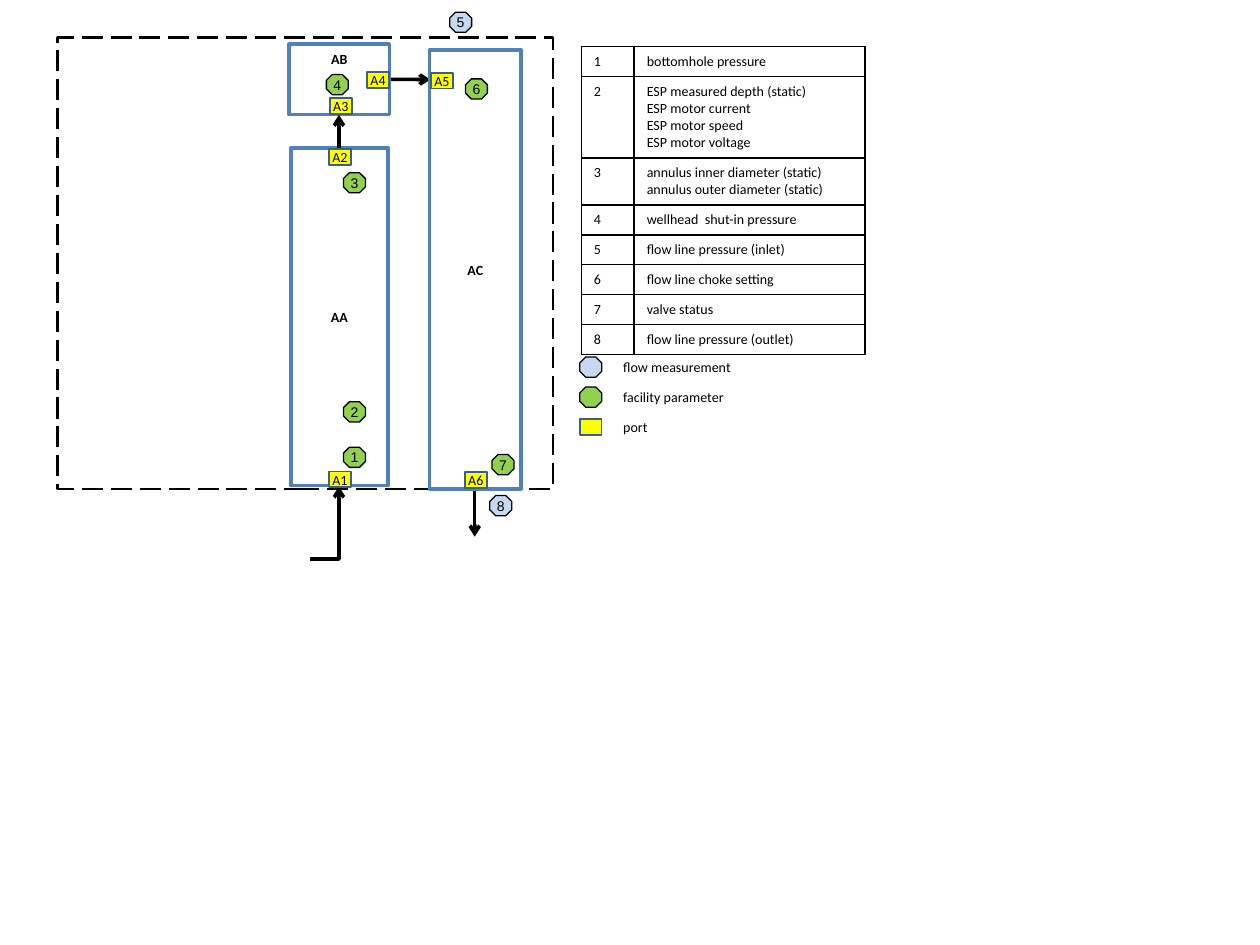
from lxml.etree import SubElement
from pptx import Presentation
from pptx.dml.color import RGBColor
from pptx.enum.dml import MSO_LINE
from pptx.enum.shapes import MSO_CONNECTOR, MSO_SHAPE
from pptx.enum.text import MSO_ANCHOR, MSO_AUTO_SIZE, PP_ALIGN
from pptx.oxml.ns import qn
from pptx.util import Pt

BLACK, BLUE, PORT_EDGE = "000000", "4F81BD", "3A5F8C"
FLOW, PARAMETER, PORT = "C6D9F1", "92D050", "FFFF00"


def color(hex_string):
    return RGBColor.from_string(hex_string)


def write(frame, text, font="Calibri", size=8, bold=False, align=PP_ALIGN.LEFT):
    """Fill a text frame, one paragraph for each line of text."""
    frame.text = text
    for paragraph in frame.paragraphs:
        paragraph.alignment = align
        for run in paragraph.runs:
            run.font.name = font
            run.font.size = Pt(size)
            run.font.bold = bold
            run.font.color.rgb = color(BLACK)


class Diagram:
    marker_width, octagon_height, port_height = 12.5, 11.5, 9

    def __init__(self, slide):
        self.shapes = slide.shapes

    def box(self, left, top, width, height, preset=MSO_SHAPE.RECTANGLE, fill=None,
            edge=BLUE, weight=2, dash=None, text="", font="Calibri", bold=False,
            anchor=MSO_ANCHOR.MIDDLE, wrap=True):
        shape = self.shapes.add_shape(preset, Pt(left), Pt(top), Pt(width), Pt(height))
        shape.shadow.inherit = False
        if fill:
            shape.fill.solid()
            shape.fill.fore_color.rgb = color(fill)
        else:
            shape.fill.background()
        shape.line.color.rgb = color(edge)
        shape.line.width = Pt(weight)
        if dash:
            shape.line.dash_style = dash
        if text:
            shape.text_frame.word_wrap = wrap
            shape.text_frame.vertical_anchor = anchor
            write(shape.text_frame, text, font=font, bold=bold, align=PP_ALIGN.CENTER)

    def octagon(self, left, top, fill, text=""):
        self.box(left, top, self.marker_width, self.octagon_height, MSO_SHAPE.OCTAGON,
                 fill=fill, edge=BLACK, weight=0.75, text=text, font="Arial", wrap=False)

    def port(self, left, top, text=""):
        self.box(left, top, self.marker_width, self.port_height,
                 fill=PORT, edge=PORT_EDGE, weight=1, text=text, wrap=False)

    def arrow(self, start, end, bent=False):
        kind = MSO_CONNECTOR.ELBOW if bent else MSO_CONNECTOR.STRAIGHT
        line = self.shapes.add_connector(kind, *map(Pt, start + end))
        line.line.color.rgb = color(BLACK)
        line.line.width = Pt(2)
        properties = line._element.spPr
        if bent:  # a single corner
            properties.find(qn("a:prstGeom")).set("prst", "bentConnector2")
        SubElement(properties.find(qn("a:ln")), qn("a:tailEnd"), type="arrow")
        SubElement(properties, qn("a:effectLst"))

    def label(self, left, top, width, height, text):
        frame = self.shapes.add_textbox(Pt(left), Pt(top), Pt(width), Pt(height)).text_frame
        frame.word_wrap = False
        frame.auto_size = MSO_AUTO_SIZE.SHAPE_TO_FIT_TEXT
        write(frame, text)

    def table(self, left, top, widths, row_height, rows):
        table = self.shapes.add_table(len(rows), len(widths), Pt(left), Pt(top),
                                      Pt(sum(widths)), Pt(row_height * len(rows))).table
        table.first_row = table.horz_banding = False
        for column, width in zip(table.columns, widths):
            column.width = Pt(width)
        for r, row in enumerate(rows):
            for c, text in enumerate(row):
                cell = table.cell(r, c)
                write(cell.text_frame, text)
                self.cell_borders(cell)
                cell.fill.background()

    def cell_borders(self, cell):
        properties = cell._tc.get_or_add_tcPr()
        for side in ("lnL", "lnR", "lnT", "lnB"):
            border = SubElement(properties, qn(f"a:{side}"), w=str(Pt(1)))
            fill = SubElement(border, qn("a:solidFill"))
            SubElement(fill, qn("a:srgbClr"), val=BLACK)


def main():
    deck = Presentation()
    deck.slide_width, deck.slide_height = Pt(720), Pt(540)
    diagram = Diagram(deck.slides.add_slide(deck.slide_layouts[6]))

    # Flow arrows into, between and out of the units
    diagram.arrow((222.5, 45.3), (246, 45.5))
    diagram.arrow((177, 319.5), (193.7, 278), bent=True)
    diagram.arrow((271.3, 279.4), (271.3, 306.7))

    # System boundary and units
    diagram.box(33, 21.5, 283, 258, edge=BLACK, weight=1.5, dash=MSO_LINE.LONG_DASH)
    diagram.box(245.5, 28.6, 52.3, 250.8, text="AC", bold=True)
    diagram.box(165.3, 25.2, 57.2, 40.4, text="AB", bold=True, anchor=MSO_ANCHOR.TOP)
    diagram.box(166.2, 84.5, 55.5, 193, text="AA", bold=True)
    diagram.arrow((193.7, 84.5), (193.7, 65.6))

    # Ports
    ports = {"A1": (188, 269.5), "A2": (188, 85.2), "A3": (188.5, 56.2),
             "A4": (209.8, 41.2), "A5": (246.3, 41.6), "A6": (265.7, 269.9)}
    for name, (left, top) in ports.items():
        diagram.port(left, top, name)

    # Numbered measurements and parameters
    flows = {"5": (257, 7), "8": (279.9, 283.2)}
    parameters = {"1": (196.3, 255.6), "2": (196.3, 229.6), "3": (196.3, 98.7),
                  "4": (186.5, 42.6), "6": (266, 45.1), "7": (281.2, 259.8)}
    for fill, places in ((FLOW, flows), (PARAMETER, parameters)):
        for number, (left, top) in places.items():
            diagram.octagon(left, top, fill, number)

    # Meaning of each number
    meanings = [
        "bottomhole pressure",
        "ESP measured depth (static)\nESP motor current\nESP motor speed\nESP motor voltage",
        "annulus inner diameter (static)\nannulus outer diameter (static)",
        "wellhead  shut-in pressure",
        "flow line pressure (inlet)",
        "flow line choke setting",
        "valve status",
        "flow line pressure (outlet)",
    ]
    rows = [(str(number), meaning) for number, meaning in enumerate(meanings, 1)]
    diagram.table(332.2, 26.6, (30.2, 132), 14.4, rows)

    # Legend
    legend = [("flow measurement", FLOW, 77), ("facility parameter", PARAMETER, 73),
              ("port", PORT, 29)]
    for i, (meaning, fill, width) in enumerate(legend):
        middle = 209.8 + 17.15 * i
        if fill == PORT:
            diagram.port(331.3, middle - diagram.port_height / 2)
        else:
            diagram.octagon(331.3, middle - diagram.octagon_height / 2, fill)
        diagram.label(349, middle - 8.5, width, 17, meaning)

    deck.save("out.pptx")


if __name__ == "__main__":
    main()
